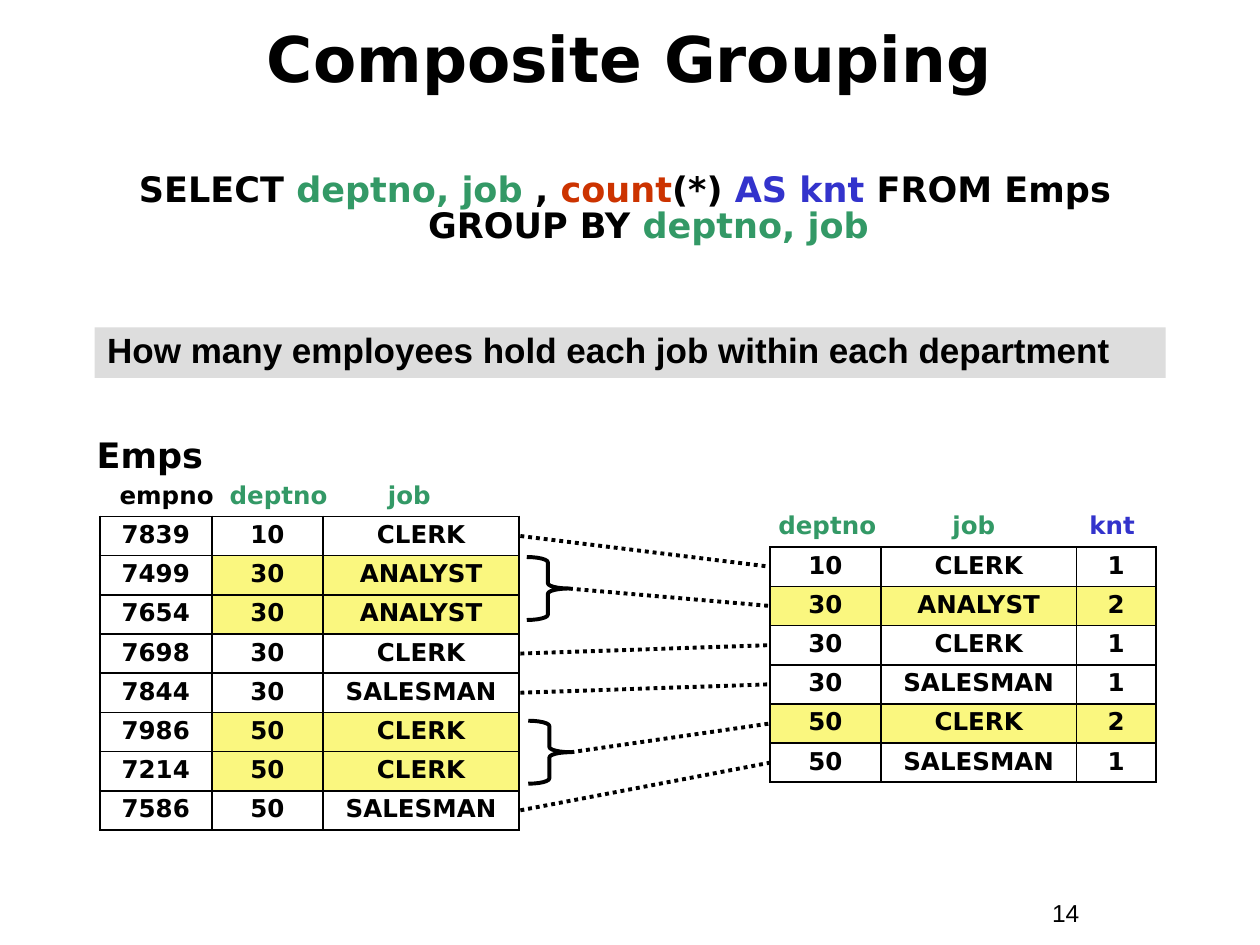
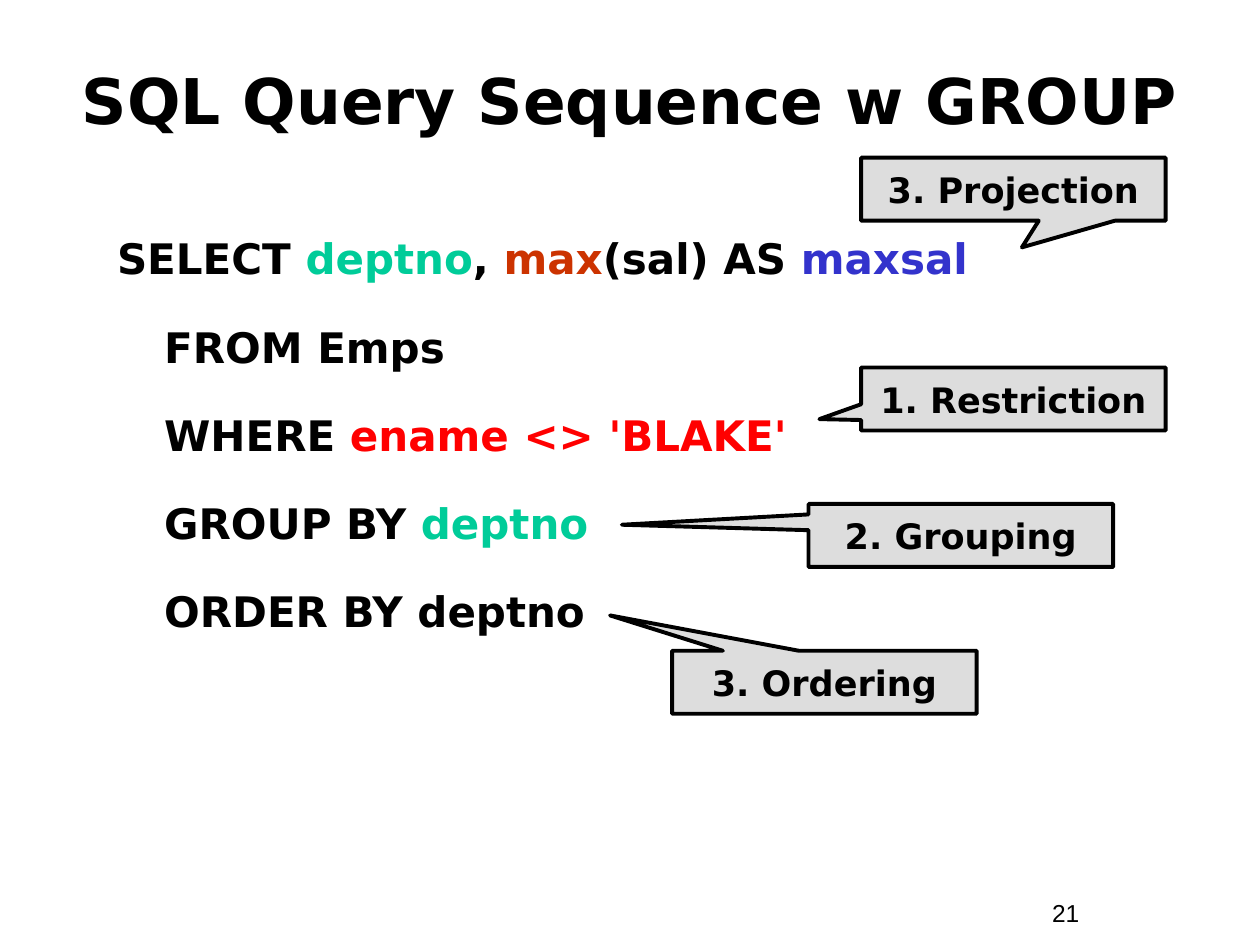
"""Build two slides on grouping in SQL."""
from lxml.etree import SubElement
from pptx import Presentation
from pptx.dml.color import RGBColor
from pptx.enum.dml import MSO_LINE
from pptx.enum.shapes import MSO_CONNECTOR, MSO_SHAPE
from pptx.enum.text import MSO_ANCHOR, PP_ALIGN
from pptx.oxml.ns import qn
from pptx.util import Cm, Pt


class Theme:
    black = RGBColor.from_string("000000")
    green = RGBColor.from_string("339966")
    mint = RGBColor.from_string("00CC99")
    rust = RGBColor.from_string("CC3300")
    blue = RGBColor.from_string("3333CC")
    red = RGBColor.from_string("FF0000")
    gray = RGBColor.from_string("DDDDDD")
    gold = RGBColor.from_string("F6F000")
    sans = "DejaVu Sans"
    plain = "Arial"
    title, query, body, small = Pt(36), Pt(24), Pt(20), Pt(14)
    thick, thin = Pt(2.25), Pt(1.08)


def write(frame, parts, size, font=Theme.sans, bold=True, align=None, space=None):
    """Fill the first paragraph with coloured parts; a newline part breaks the line."""
    para = frame.paragraphs[0]
    para.alignment = align
    para.line_spacing = space
    for text, color in parts:
        if text == "\n":
            para.add_line_break()
            continue
        run = para.add_run()
        run.text = text
        run.font.size, run.font.name, run.font.bold = size, font, bold
        run.font.color.rgb = color
    return para


def label(slide, place, parts, size, **look):
    """Add a wrapping text box and return its paragraph."""
    frame = slide.shapes.add_textbox(*map(Cm, place)).text_frame
    frame.word_wrap = True
    return write(frame, parts, size, **look)


deck = Presentation()
deck.slide_width, deck.slide_height = Cm(25.4), Cm(19.05)

heads = [
    ("Composite Grouping", 0.2, 1.9, "14"),
    ("SQL Query Sequence w GROUP", 0.84, 2.34, "21"),
]
slides = []
for title, top, high, number in heads:
    slide = deck.slides.add_slide(deck.slide_layouts[6])
    box = slide.shapes.add_textbox(Cm(0.84), Cm(top), Cm(23.7), Cm(high))
    box.text_frame.word_wrap = True
    box.text_frame.vertical_anchor = MSO_ANCHOR.MIDDLE
    write(box.text_frame, [(title, Theme.black)], Theme.title, align=PP_ALIGN.CENTER)
    label(slide, (20.96, 17.98, 2.34, 0.86), [(number, Theme.black)], Theme.small,
          font=Theme.plain, bold=False)
    slides.append(slide)
group, order = slides

count = [
    ("SELECT ", Theme.black), ("deptno, job ", Theme.green), (", ", Theme.black),
    ("count", Theme.rust), ("(*) ", Theme.black), ("AS knt", Theme.blue),
    (" FROM Emps", Theme.black), ("\n", None),
    ("GROUP BY ", Theme.black), ("deptno, job", Theme.green),
]
most = [
    ("SELECT ", Theme.black), ("deptno", Theme.mint), (", ", Theme.black),
    ("max", Theme.rust), ("(sal) AS ", Theme.black), ("maxsal", Theme.blue), ("\n", None),
    ("FROM Emps", Theme.black), ("\n", None),
    ("WHERE ", Theme.black), ("ename <> 'BLAKE'", Theme.red), ("\n", None),
    ("GROUP BY ", Theme.black), ("deptno", Theme.mint), ("\n", None),
    ("ORDER BY deptno", Theme.black),
]
queries = [
    (group, (2.34, 3.38, 20.52, 2.11), count, Theme.body, PP_ALIGN.CENTER, 0.85),
    (order, (2.11, 3.81, 17.98, 8.48), most, Theme.query, PP_ALIGN.LEFT, 1.75),
]
for slide, place, parts, size, align, space in queries:
    para = label(slide, place, parts, size, align=align, space=space)
    props = para._p.get_or_add_pPr()
    props.set("marL", str(Cm(0.95)))
    props.set("indent", str(Cm(-0.95)))

band = group.shapes.add_shape(MSO_SHAPE.RECTANGLE, Cm(1.91), Cm(6.6), Cm(21.59), Cm(1.02))
band.shadow.inherit = False
band.fill.solid()
band.fill.fore_color.rgb = Theme.gray
band.line.fill.background()
band.text_frame.vertical_anchor = MSO_ANCHOR.TOP
ask = "How many employees hold each job within each department"
write(band.text_frame, [(ask, Theme.black)], Theme.body, font=Theme.plain,
      align=PP_ALIGN.LEFT, space=0.9)

label(group, (1.7, 8.61, 5.92, 1.12), [("Emps", Theme.black)], Theme.body)
names = [
    ((2.16, 9.55, 7.47, 0.86), (2.22, 5.41),
     [("empno\t", Theme.black), ("deptno\tjob", Theme.green)]),
    ((15.44, 10.16, 9.09, 0.86), (3.51, 6.27),
     [("deptno\tjob\t", Theme.green), ("knt", Theme.blue)]),
]
for place, stops, parts in names:
    para = label(group, place, parts, Theme.small)
    tabs = SubElement(para._p.get_or_add_pPr(), qn("a:tabLst"))
    for stop in stops:
        SubElement(tabs, qn("a:tab"), pos=str(Cm(stop)), algn="l")

emps = [
    ("7839", "10", "CLERK"), ("7499", "30", "ANALYST"),
    ("7654", "30", "ANALYST"), ("7698", "30", "CLERK"),
    ("7844", "30", "SALESMAN"), ("7986", "50", "CLERK"),
    ("7214", "50", "CLERK"), ("7586", "50", "SALESMAN"),
]
totals = [
    ("10", "CLERK", "1"), ("30", "ANALYST", "2"), ("30", "CLERK", "1"),
    ("30", "SALESMAN", "1"), ("50", "CLERK", "2"), ("50", "SALESMAN", "1"),
]
step, left, right = 0.79, 10.41, 11.03
grids = [
    (2.01, left, (2.26, 2.24, 3.96), emps, (1, 2, 5, 6), 1),
    (15.52, right, (2.24, 3.94, 1.6), totals, (1, 4), 0),
]
for x, y, widths, rows, marked, first in grids:
    table = group.shapes.add_table(len(rows), len(widths), Cm(x), Cm(y),
                                   Cm(sum(widths)), Cm(step * len(rows))).table
    table.first_row = table.horz_banding = False
    for col, width in zip(table.columns, widths):
        col.width = Cm(width)
    for r, row in enumerate(rows):
        table.rows[r].height = Cm(step)
        for c, text in enumerate(row):
            cell = table.cell(r, c)
            write(cell.text_frame, [(text, Theme.black)], Theme.small,
                  align=PP_ALIGN.CENTER, space=0.9)
            props = cell._tc.get_or_add_tcPr()
            for side in ("lnL", "lnR", "lnT", "lnB"):
                edge = SubElement(props, qn(f"a:{side}"), w=str(Theme.thin))
                fill = SubElement(edge, qn("a:solidFill"))
                SubElement(fill, qn("a:srgbClr"), val=str(Theme.black))
            if r in marked and c >= first:
                cell.fill.solid()
                cell.fill.fore_color.rgb = Theme.gold
                tint = props.find(qn("a:solidFill")).find(qn("a:srgbClr"))
                SubElement(tint, qn("a:alpha"), val="50000")
            else:
                cell.fill.background()

wide, tall = 0.85, 1.27
starts = {n: (10.49, left + step * (row + 0.5))
          for n, row in ((0, 0), (2, 3), (3, 4), (5, 7))}
for n, x, y in ((1, 10.62, 11.23), (4, 10.65, 14.53)):
    brace = group.shapes.add_shape(MSO_SHAPE.RIGHT_BRACE, Cm(x), Cm(y), Cm(wide), Cm(tall))
    brace.shadow.inherit = False
    brace.adjustments[0] = 0.125
    brace.fill.background()
    brace.line.color.rgb = Theme.black
    brace.line.width = Theme.thick
    starts[n] = (x + wide, y + tall / 2)

for n, (x, y) in starts.items():
    link = group.shapes.add_connector(MSO_CONNECTOR.STRAIGHT, Cm(x), Cm(y),
                                      Cm(15.52), Cm(right + step * (n + 0.5)))
    link.line.color.rgb = Theme.black
    link.line.width = Theme.thick
    link.line.dash_style = MSO_LINE.ROUND_DOT
    SubElement(link._element.spPr, qn("a:effectLst"))

notes = [
    ("3. Projection", 17.36, 3.18, 0.028, 0.924),
    ("1. Restriction", 17.36, 7.41, -0.637, 0.319),
    ("2. Grouping", 16.3, 10.16, -1.113, -0.17),
    ("3. Ordering", 13.55, 13.12, -0.704, -1.062),
]
for text, x, y, *tip in notes:
    note = order.shapes.add_shape(MSO_SHAPE.RECTANGULAR_CALLOUT,
                                  Cm(x), Cm(y), Cm(6.14), Cm(1.27))
    note.shadow.inherit = False
    note.adjustments[0], note.adjustments[1] = tip
    note.fill.solid()
    note.fill.fore_color.rgb = Theme.gray
    note.line.color.rgb = Theme.black
    note.line.width = Theme.thick
    note.text_frame.vertical_anchor = MSO_ANCHOR.MIDDLE
    write(note.text_frame, [(text, Theme.black)], Theme.body, align=PP_ALIGN.CENTER)

deck.save("out.pptx")
